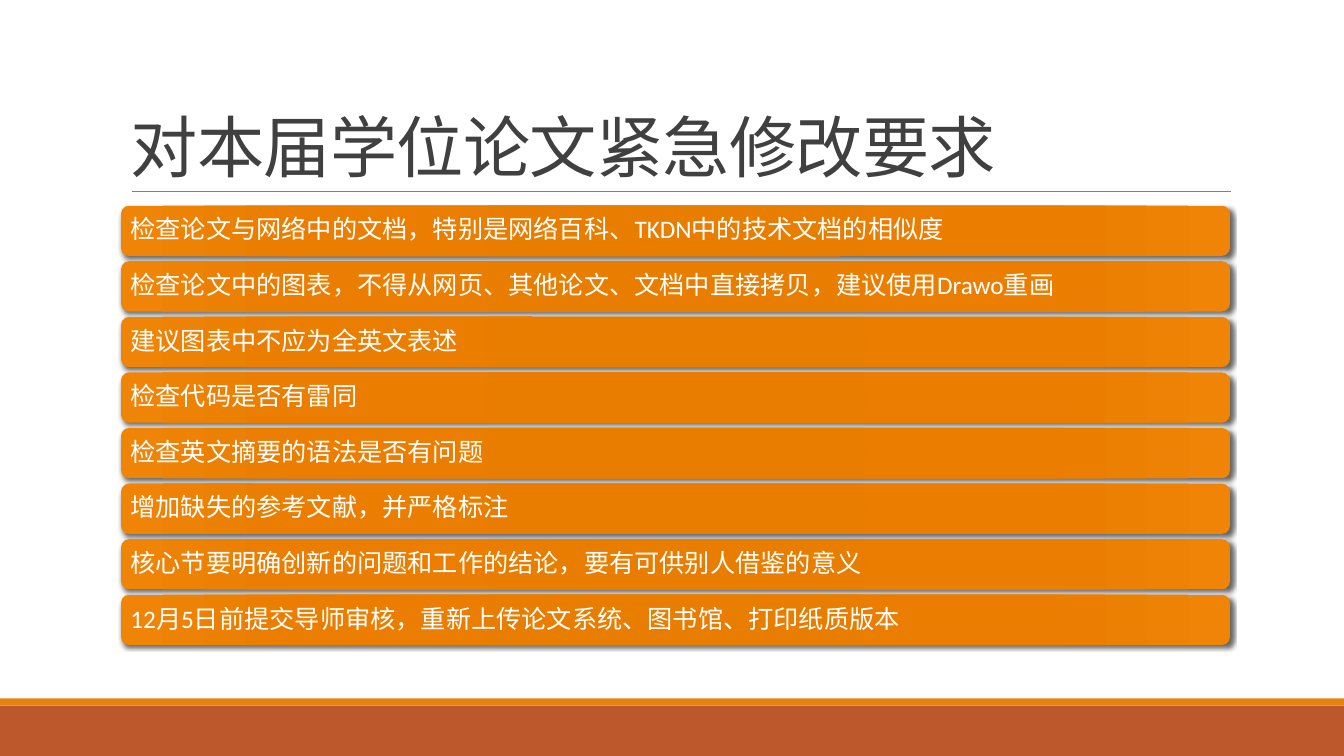
from lxml.etree import SubElement as sub
from pptx import Presentation
from pptx.dml.color import RGBColor as RGB
from pptx.enum.shapes import MSO_CONNECTOR as LINE, MSO_SHAPE as SHAPE
from pptx.enum.text import MSO_ANCHOR as ANCHOR, PP_ALIGN as ALIGN
from pptx.oxml.ns import qn
from pptx.util import Inches, Pt

COLORS = {
    "band": "BD582C",
    "strip": "E48312",
    "rule": "808080",
    "title": "404040",
    "text": "FFFFFF",
    "shade": "000000",
}
STOPS = [(0, "E57B00"), (34, "E87D00"), (70, "EB7E00"), (100, "EF8407")]
TITLE = "对本届学位论文紧急修改要求"
ITEMS = [
    "检查论文与网络中的文档，特别是网络百科、TKDN中的技术文档的相似度",
    "检查论文中的图表，不得从网页、其他论文、文档中直接拷贝，建议使用Drawo重画",
    "建议图表中不应为全英文表述",
    "检查代码是否有雷同",
    "检查英文摘要的语法是否有问题",
    "增加缺失的参考文献，并严格标注",
    "核心节要明确创新的问题和工作的结论，要有可供别人借鉴的意义",
    "12月5日前提交导师审核，重新上传论文系统、图书馆、打印纸质版本",
]
LEFT, WIDTH = 1.2, 11
FIRST, LAST, HEIGHT = 2.04, 5.9, 0.5


def color(name):
    return RGB.from_string(COLORS[name])


def add_box(slide, kind, left, top, width, height, fill):
    box = slide.shapes.add_shape(
        kind, Inches(left), Inches(top), Inches(width), Inches(height))
    box.shadow.inherit = False
    box.fill.solid()
    box.fill.fore_color.rgb = color(fill)
    box.line.fill.background()
    return box


def add_rule(slide, left, right, top):
    rule = slide.shapes.add_connector(
        LINE.STRAIGHT, Inches(left), Inches(top), Inches(right), Inches(top))
    rule.line.color.rgb = color("rule")
    rule.line.width = Pt(0.5)
    sub(rule._element.spPr, qn("a:effectLst"))


def set_text(frame, text, size, shade, anchor, space):
    frame.word_wrap = True
    frame.vertical_anchor = anchor
    frame.text = text
    para = frame.paragraphs[0]
    para.alignment = ALIGN.LEFT
    para.line_spacing = space
    run = para.runs[0]
    run.font.size = Pt(size)
    run.font.name = "Calibri"
    run.font.color.rgb = color(shade)
    return run


def add_title(slide):
    box = slide.shapes.add_textbox(
        Inches(LEFT), Inches(0.31), Inches(WIDTH), Inches(1.59))
    run = set_text(box.text_frame, TITLE, 48, "title", ANCHOR.BOTTOM, 0.85)
    run.font._element.set("spc", "-50")


def set_glow(bar):
    """Give a bar its radial gradient and its soft shadow."""
    props = bar._element.spPr
    solid = props.find(qn("a:solidFill"))
    grad = props.makeelement(qn("a:gradFill"), {"rotWithShape": "1"})
    stops = sub(grad, qn("a:gsLst"))
    for pos, tint in STOPS:
        stop = sub(stops, qn("a:gs"), pos=str(pos * 1000))
        sub(stop, qn("a:srgbClr"), val=tint)
    ring = sub(grad, qn("a:path"), {"path": "circle"})
    sub(ring, qn("a:fillToRect"), {side: "100000" for side in "ltrb"})
    props.replace(solid, grad)

    cast = sub(props.find(qn("a:effectLst")), qn("a:outerShdw"),
               blurRad=str(Pt(3)), dist=str(Pt(2)), dir=str(45 * 60000),
               rotWithShape="0")
    tone = sub(cast, qn("a:srgbClr"), val=COLORS["shade"])
    sub(tone, qn("a:alpha"), val="60000")


def add_bar(slide, top, text):
    bar = add_box(slide, SHAPE.ROUNDED_RECTANGLE,
                  LEFT, top, WIDTH, HEIGHT, "strip")
    set_glow(bar)
    frame = bar.text_frame
    frame.margin_left = frame.margin_right = Inches(0.07)
    frame.margin_top = frame.margin_bottom = Inches(0.07)
    set_text(frame, text, 18, "text", ANCHOR.MIDDLE, 0.9)


def main():
    deck = Presentation()
    deck.slide_width, deck.slide_height = Inches(13.33), Inches(7.5)
    slide = deck.slides.add_slide(deck.slide_layouts[6])

    # Footer bands and title
    add_box(slide, SHAPE.RECTANGLE, 0, 7, 13.33, 0.5, "band")
    add_box(slide, SHAPE.RECTANGLE, 0, 6.93, 13.33, 0.07, "strip")
    add_rule(slide, 1.31, 12.21, 1.9)
    add_title(slide)

    # Evenly spaced list of requirements
    step = (LAST - FIRST) / (len(ITEMS) - 1)
    for row, text in enumerate(ITEMS):
        add_bar(slide, FIRST + row * step, text)

    deck.save("out.pptx")


if __name__ == "__main__":
    main()
